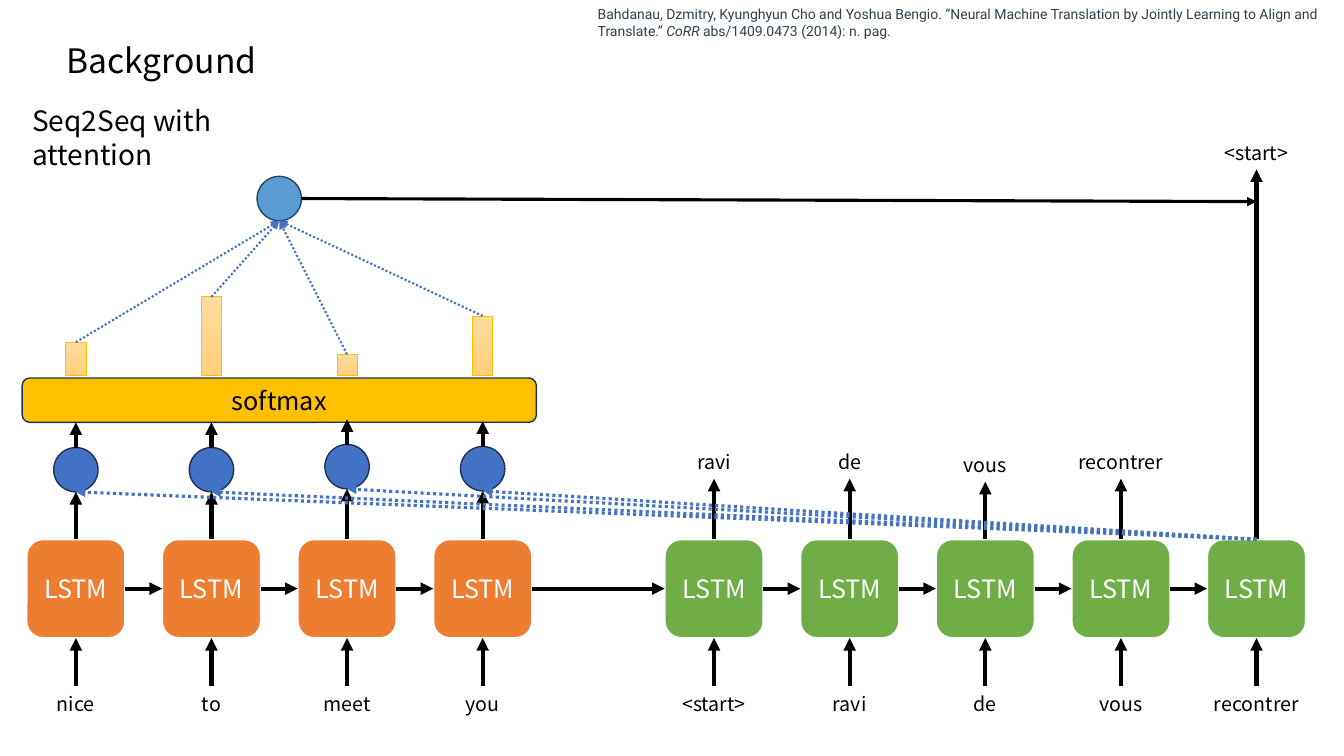
from dataclasses import dataclass
from typing import NamedTuple

from lxml import etree
from pptx import Presentation
from pptx.dml.color import RGBColor
from pptx.enum.dml import MSO_LINE
from pptx.enum.shapes import MSO_CONNECTOR, MSO_SHAPE
from pptx.enum.text import MSO_ANCHOR, PP_ALIGN
from pptx.oxml.ns import qn
from pptx.util import Inches, Pt

STRAIGHT = MSO_CONNECTOR.STRAIGHT
RECT, ROUNDED, OVAL = MSO_SHAPE.RECTANGLE, MSO_SHAPE.ROUNDED_RECTANGLE, MSO_SHAPE.OVAL
MIDDLE, TOP_ANCHOR = MSO_ANCHOR.MIDDLE, MSO_ANCHOR.TOP
LEFT_ALIGN, CENTER = PP_ALIGN.LEFT, PP_ALIGN.CENTER
DOTTED = MSO_LINE.ROUND_DOT
TOP, LEFT, BOTTOM, RIGHT = range(4)

# The slide is a square grid, 75 rows high; all lengths count its cells
SLIDE_W, SLIDE_H = Inches(13.33), Inches(7.5)
CELL = SLIDE_H / 75
LSTM_SIZE, CIRCLE_SIZE, BAR_WIDTH = 9.8, 4.4, 2
LABEL_W, LABEL_H = 10.7, 3.4


@dataclass(frozen=True)
class Theme:
    font: str = "Noto Sans CJK KR"
    citation_font: str = "Roboto"
    title: int = 24
    subtitle: int = 20
    block: int = 18
    label: int = 14
    citation: int = 10
    black: str = "000000"
    white: str = "FFFFFF"
    slate: str = "2E414F"
    encoder: str = "ED7D31"
    decoder: str = "70AD47"
    score: str = "4472C4"
    outline: str = "1E3256"
    context: str = "5B9BD5"
    context_outline: str = "28445D"
    softmax: str = "FFC000"
    bar_top: str = "FFDB9E"
    bar_bottom: str = "FFD07C"


THEME = Theme()


class Box(NamedTuple):
    left: float
    top: float
    width: float
    height: float

    def centers(self, count):
        return [self.left + (i + 0.5) * self.width / count for i in range(count)]


class Port(NamedTuple):
    shape: object
    site: int


def cells(*counts):
    return [round(count * CELL) for count in counts]


def rgb(color):
    return RGBColor.from_string(color)


def style_text(frame, size, color, align, anchor, font=THEME.font):
    frame.word_wrap = True
    frame.vertical_anchor = anchor
    for paragraph in frame.paragraphs:
        paragraph.alignment = align
        for run in paragraph.runs:
            run.font.size, run.font.name = Pt(size), font
            run.font.color.rgb = rgb(color)


def add_text(slide, box, text, size, align=LEFT_ALIGN, anchor=MIDDLE):
    frame = slide.shapes.add_textbox(*cells(*box)).text_frame
    frame.text = text
    style_text(frame, size, THEME.black, align, anchor)
    return frame


def add_label(slide, center, top, word):
    box = Box(center - LABEL_W / 2, top, LABEL_W, LABEL_H)
    frame = add_text(slide, box, word, THEME.label, CENTER)
    frame.margin_left = frame.margin_right = 0


def add_block(slide, kind, box, fill, line, line_width, text="", color=THEME.black):
    block = slide.shapes.add_shape(kind, *cells(*box))
    block.shadow.inherit = False
    block.fill.solid()
    block.fill.fore_color.rgb = rgb(fill)
    block.line.color.rgb = rgb(line)
    block.line.width = Pt(line_width)
    if text:
        block.text_frame.text = text
        style_text(block.text_frame, THEME.block, color, CENTER, MIDDLE)
    return block


def add_arrow(slide, start, end, color=THEME.black, width=3, dash=None):
    """Each end is a Port on a shape or an (x, y) point of the grid."""
    arrow = slide.shapes.add_connector(STRAIGHT, 0, 0, 0, 0)
    if isinstance(start, Port):
        arrow.begin_connect(*start)
    else:
        arrow.begin_x, arrow.begin_y = cells(*start)
    if isinstance(end, Port):
        arrow.end_connect(*end)
    else:
        arrow.end_x, arrow.end_y = cells(*end)
    arrow.line.color.rgb = rgb(color)
    arrow.line.width = Pt(width)
    if dash:
        arrow.line.dash_style = dash
    etree.SubElement(arrow.line._get_or_add_ln(), qn("a:tailEnd"), type="triangle")
    etree.SubElement(arrow._element.spPr, qn("a:effectLst"))


def add_lstm_row(slide, box, words, fill):
    """A chain of LSTM blocks with the input words below."""
    blocks = []
    label_top = box.top + box.height - LABEL_H
    for center, word in zip(box.centers(len(words)), words):
        place = Box(center - LSTM_SIZE / 2, box.top, LSTM_SIZE, LSTM_SIZE)
        block = add_block(slide, ROUNDED, place, fill, THEME.white, 1.5, "LSTM", THEME.white)
        add_arrow(slide, (center, label_top), Port(block, BOTTOM))
        add_label(slide, center, label_top, word)
        blocks.append(block)
    for before, after in zip(blocks, blocks[1:]):
        add_arrow(slide, Port(before, RIGHT), Port(after, LEFT))
    return blocks


def add_outputs(slide, box, outputs, blocks):
    """Output words above their blocks; each comes with its top below the box's top."""
    for center, (word, drop), block in zip(box.centers(len(blocks)), outputs, blocks):
        top = box.top + drop
        add_arrow(slide, Port(block, TOP), (center, top + LABEL_H))
        add_label(slide, center, top, word)


def add_attention(slide, box, bar_heights, score_tops, blocks, query):
    """Scores, softmax, weights and the context circle, from bottom to top."""
    centers = box.centers(len(blocks))
    radius = CIRCLE_SIZE / 2
    context = Box(box.left + 24.7, box.top, CIRCLE_SIZE, CIRCLE_SIZE)
    context_x = context.left + radius
    softmax = Box(box.left + 1.4, box.top + 20, 51, CIRCLE_SIZE)

    # Scores
    score_feet = []
    for center, drop, block in zip(centers, score_tops, blocks):
        top = box.top + drop
        foot = (center, top + CIRCLE_SIZE)
        add_arrow(slide, Port(block, TOP), foot)
        add_block(slide, OVAL, Box(center - radius, top, CIRCLE_SIZE, CIRCLE_SIZE),
                  THEME.score, THEME.outline, 1)
        score_feet.append(foot)
    add_block(slide, ROUNDED, softmax, THEME.softmax, THEME.outline, 1, "softmax")

    # Weights
    add_block(slide, OVAL, context, THEME.context, THEME.context_outline, 1)
    for center, height, foot in zip(centers, bar_heights, score_feet):
        score_top = foot[1] - CIRCLE_SIZE
        add_arrow(slide, (center, score_top), (center, score_top - 2.5))
        place = Box(center - BAR_WIDTH / 2, softmax.top - 0.25 - height, BAR_WIDTH, height)
        bar = add_block(slide, RECT, place, THEME.bar_top, THEME.softmax, 0.5)
        bar.fill.gradient()
        bar.fill.gradient_angle = 270
        for stop, color in zip(bar.fill.gradient_stops, (THEME.bar_top, THEME.bar_bottom)):
            stop.color.rgb = rgb(color)
        add_arrow(slide, Port(bar, TOP), (context_x, context.top + CIRCLE_SIZE),
                  THEME.score, 1.5, DOTTED)

    # Query and context
    for foot in score_feet:
        add_arrow(slide, Port(query, TOP), foot, THEME.score, 2.25, DOTTED)
    return context.left + CIRCLE_SIZE, context.top + radius


def add_headings(slide, box):
    add_text(slide, Box(box.left + 5.6, box.top + 3.5, 39.2, 5), "Background", THEME.title)
    add_text(slide, Box(box.left + 2.2, box.top + 9.8, 32.2, 4.4),
             "Seq2Seq with attention", THEME.subtitle, anchor=TOP_ANCHOR)


def add_citation(slide, box):
    frame = slide.shapes.add_textbox(*cells(*box)).text_frame
    paragraph = frame.paragraphs[0]
    for text, italic in (
        ("Bahdanau, Dzmitry, Kyunghyun Cho and Yoshua Bengio. “Neural Machine Translation "
         "by Jointly Learning to Align and Translate.” ", False),
        ("CoRR", True),
        (" abs/1409.0473 (2014): n. pag.", False),
    ):
        run = paragraph.add_run()
        run.text, run.font.italic = text, italic
    style_text(frame, THEME.citation, THEME.slate, LEFT_ALIGN, MIDDLE, THEME.citation_font)


def main():
    deck = Presentation()
    deck.slide_width, deck.slide_height = SLIDE_W, SLIDE_H
    slide = deck.slides.add_slide(deck.slide_layouts[6])
    encoder_box = Box(0.8, 53.5, 53.8, 18)
    decoder_box = Box(64.1, 53.5, 67.25, 18)

    add_headings(slide, Box(0, 0, 50, 16))
    encoder = add_lstm_row(slide, encoder_box, ["nice", "to", "meet", "you"], THEME.encoder)
    decoder = add_lstm_row(slide, decoder_box, ["<start>", "ravi", "de", "vous", "recontrer"],
                           THEME.decoder)
    add_arrow(slide, Port(encoder[-1], RIGHT), Port(decoder[0], LEFT))
    outputs = [("ravi", 30.7), ("de", 30.7), ("vous", 31), ("recontrer", 30.7), ("<start>", 0)]
    add_outputs(slide, Box(decoder_box.left, 13.4, decoder_box.width, 40.1), outputs, decoder)
    context_edge = add_attention(slide, Box(encoder_box.left, 17.5, encoder_box.width, 36),
                                 [3.3, 7.8, 2.1, 5.9], [26.9, 26.9, 26.6, 26.8],
                                 encoder, decoder[-1])
    add_arrow(slide, context_edge, (decoder_box.centers(5)[-1], 20), width=2.25)
    add_citation(slide, Box(58.3, 0, 74.8, 4.4))
    deck.save("out.pptx")


if __name__ == "__main__":
    main()
